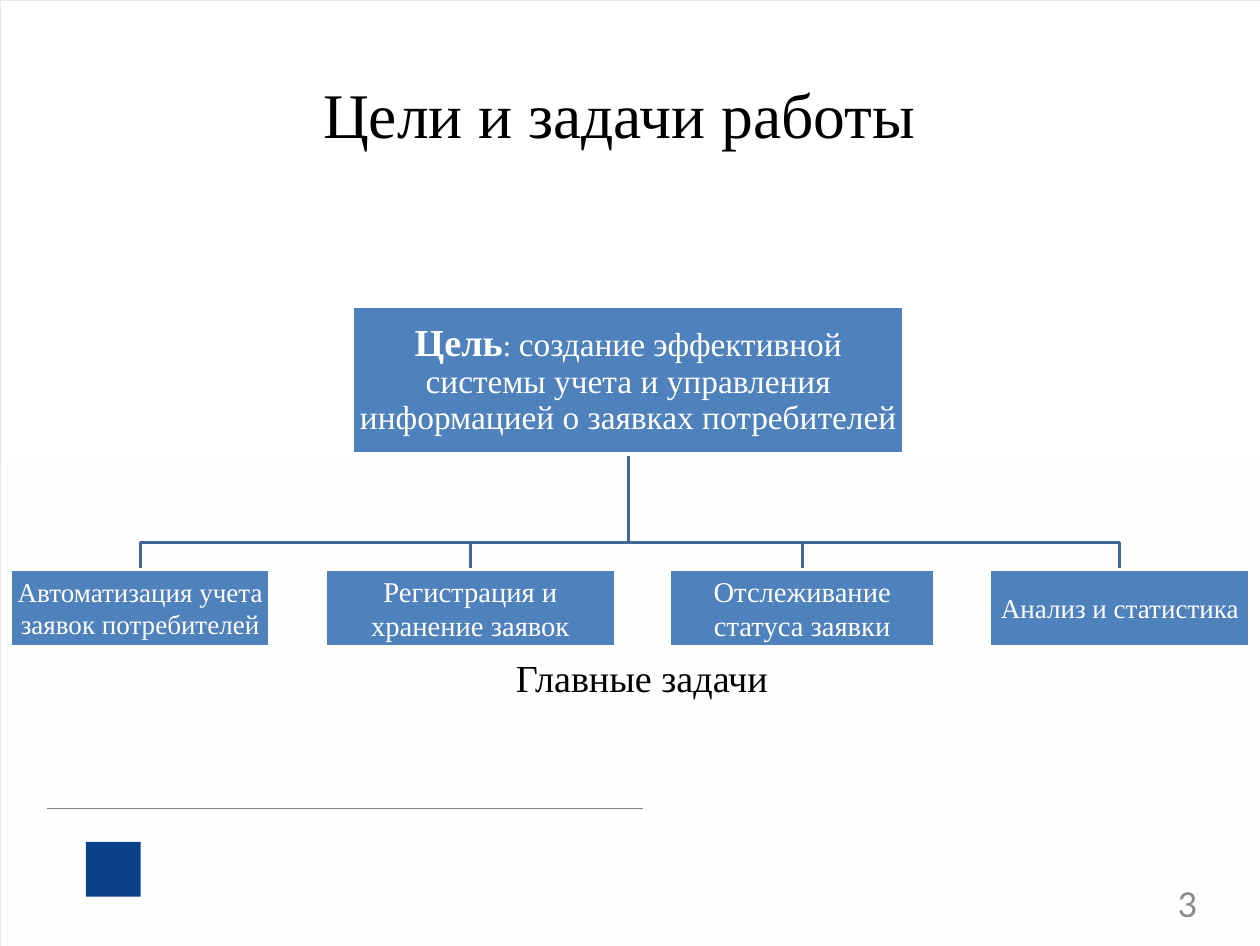
from lxml import etree
from pptx import Presentation
from pptx.dml.color import RGBColor
from pptx.enum.shapes import MSO_CONNECTOR as Connector, MSO_SHAPE as Shape
from pptx.enum.text import MSO_ANCHOR as Anchor, MSO_AUTO_SIZE as AutoSize, PP_ALIGN as Align
from pptx.oxml.ns import qn
from pptx.util import Inches, Pt

WIDTH, HEIGHT = 11.01, 8.27
SERIF = "Times New Roman"
BOX_BLUE, BRANCH_BLUE, LOGO_BLUE = "4F81BD", "3F6797", "0A4188"
WHITE, BLACK, GREY = "FFFFFF", "000000", "8C8C8C"


def color(value):
    return RGBColor.from_string(value)


class SlideBuilder:
    def __init__(self, page):
        self.page = page

    def style(self, shape, fill=None, line=None, width=1):
        shape.shadow.inherit = False
        if fill:
            shape.fill.solid()
            shape.fill.fore_color.rgb = color(fill)
        else:
            shape.fill.background()
        if line:
            shape.line.color.rgb = color(line)
            shape.line.width = Pt(width)
        else:
            shape.line.fill.background()

    def rectangle(self, left, top, width, height, fill=None, line=None, weight=1):
        box = self.page.shapes.add_shape(
            Shape.RECTANGLE, Inches(left), Inches(top), Inches(width), Inches(height))
        self.style(box, fill, line, weight)
        return box

    def set_text(self, box, runs, size, ink, font=SERIF, align=Align.CENTER,
                 anchor=Anchor.MIDDLE, inset=(0, 0), wrap=True, spacing=1.0):
        frame = box.text_frame
        frame.word_wrap = wrap
        frame.vertical_anchor = anchor
        frame.margin_left = frame.margin_right = Inches(inset[0])
        frame.margin_top = frame.margin_bottom = Inches(inset[1])
        para = frame.paragraphs[0]
        para.alignment = align
        para.line_spacing = spacing
        para.font.name = font
        para.font.size = Pt(size)
        para.font.color.rgb = color(ink)
        for text, run_size, bold in runs:
            span = para.add_run()
            span.text = text
            if run_size:
                span.font.size = Pt(run_size)
            if bold:
                span.font.bold = True
        return frame

    def label(self, left, top, width, height, text, size, ink, **options):
        box = self.page.shapes.add_textbox(
            Inches(left), Inches(top), Inches(width), Inches(height))
        return self.set_text(box, [(text, None, False)], size, ink, **options)

    def node(self, left, top, width, height, runs, size, inset, spacing=1.0):
        box = self.rectangle(left, top, width, height, BOX_BLUE, WHITE, 2)
        self.set_text(box, runs, size, WHITE, inset=(inset, inset), spacing=spacing)

    def branch(self, points):
        corners = [(Inches(x), Inches(y)) for x, y in points]
        builder = self.page.shapes.build_freeform(*corners[0])
        builder.add_line_segments(corners[1:], close=False)
        self.style(builder.convert_to_shape(), line=BRANCH_BLUE, width=2)

    def rule(self, left, right, height, ink, weight):
        line = self.page.shapes.add_connector(
            Connector.STRAIGHT, Inches(left), Inches(height), Inches(right), Inches(height))
        line.line.color.rgb = color(ink)
        line.line.width = Pt(weight)
        etree.SubElement(line._element.spPr, qn("a:effectLst"))


def main():
    deck = Presentation()
    deck.slide_width, deck.slide_height = Inches(WIDTH), Inches(HEIGHT)
    page = deck.slides.add_slide(deck.slide_layouts[6])
    slide = SlideBuilder(page)

    slide.rectangle(0, 4.03, WIDTH, HEIGHT - 4.03, "FEFEFE")
    slide.rectangle(0, 0, WIDTH, HEIGHT, line="E7E7E8", weight=0.5)
    slide.rectangle(0.75, 7.36, 0.48, 0.48, LOGO_BLUE)
    slide.rule(0.41, 5.62, 7.07, "808080", 0.57)
    slide.label(0.45, 0.55, 9.92, 0.87, "Цели и задачи работы", 40, BLACK)
    slide.label(7.93, 7.69, 2.53, 0.41, "3", 24, GREY, font="Calibri",
                align=Align.RIGHT, anchor=Anchor.TOP)

    goal_left, goal_top, goal_width, goal_height = 3.08, 2.68, 4.82, 1.29
    task_top, task_height, bend = 4.98, 0.67, 4.74
    tasks = [
        (0.09, 2.27, 17, "Автоматизация учета заявок потребителей"),
        (2.84, 2.54, 18, "Регистрация и хранение заявок"),
        (5.85, 2.32, 18, "Отслеживание статуса заявки"),
        (8.65, 2.27, 17, "Анализ и статистика"),
    ]
    trunk = goal_left + goal_width / 2
    for left, width, size, text in tasks:
        center = left + width / 2
        slide.branch([(trunk, goal_top + goal_height), (trunk, bend),
                      (center, bend), (center, task_top)])

    goal = [
        ("Цель", 24, True),
        (": ", 19, False),
        ("создание эффективной системы учета и управления "
         "информацией о заявках потребителей", None, False),
    ]
    slide.node(goal_left, goal_top, goal_width, goal_height, goal, 21, 0.02, 0.9)
    for left, width, size, text in tasks:
        slide.node(left, task_top, width, task_height, [(text, None, False)], size, 0.01)

    caption = slide.label(4.41, 5.67, 2.43, 0.5, "Главные задачи", 24, BLACK,
                          align=Align.LEFT, anchor=Anchor.TOP, inset=(0.1, 0.05), wrap=False)
    caption.auto_size = AutoSize.SHAPE_TO_FIT_TEXT

    deck.save("out.pptx")


if __name__ == "__main__":
    main()
